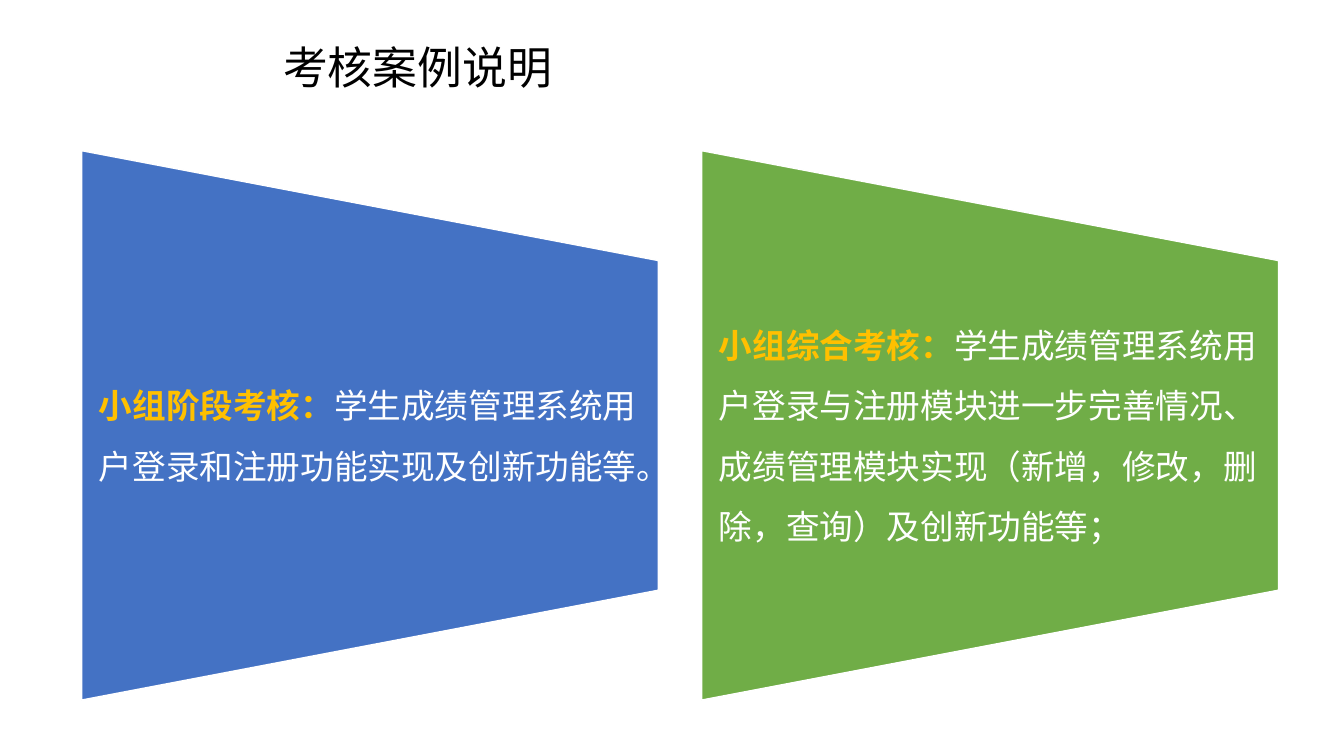
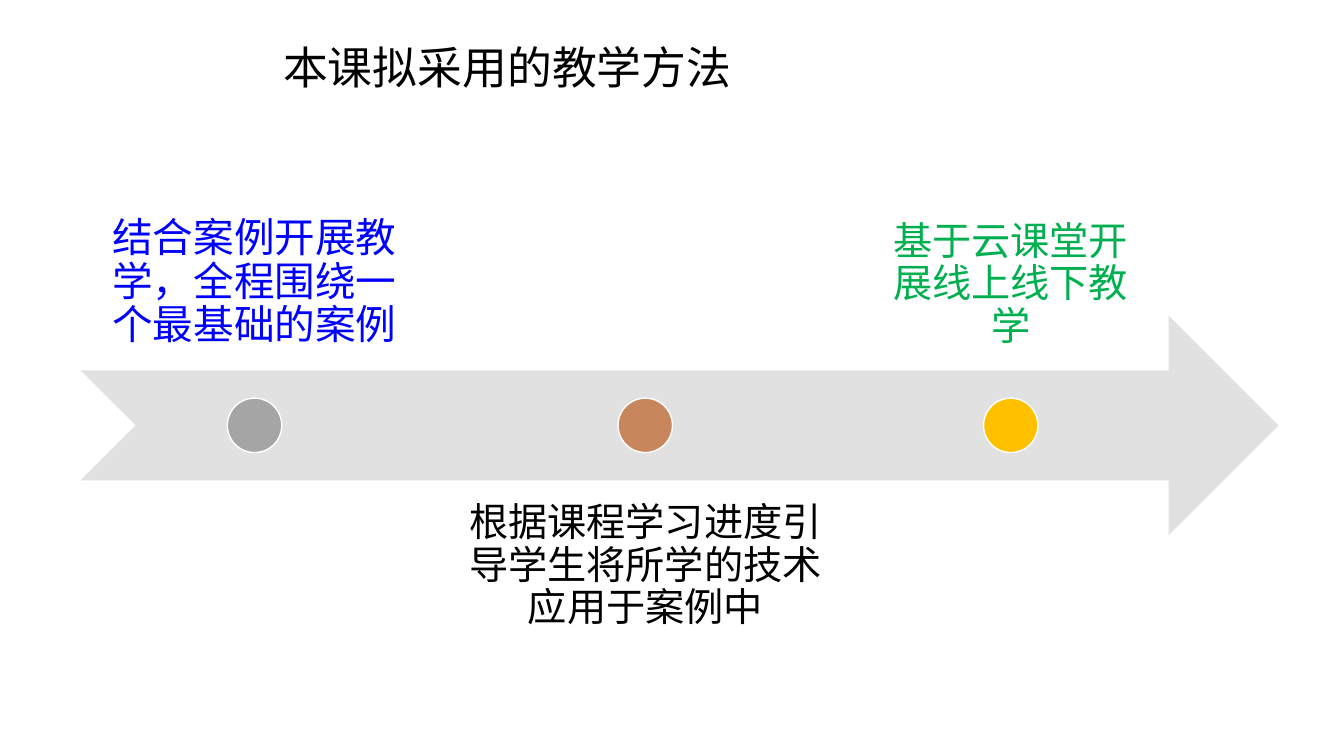
"""Builds two slides on course assessment cases and teaching methods."""
from dataclasses import dataclass

from lxml.etree import SubElement
from pptx import Presentation
from pptx.dml.color import RGBColor
from pptx.enum.shapes import MSO_SHAPE
from pptx.enum.text import MSO_ANCHOR, PP_ALIGN
from pptx.oxml.ns import qn
from pptx.util import Inches, Pt

FONT = "Noto Sans CJK SC"
COLORS = {
    "white": "FFFFFF", "black": "000000", "blue": "4472C4", "green": "70AD47",
    "gold": "FFC000", "arrow": "E1E1E1", "gray": "A5A5A5", "clay": "C8865C",
    "pure_blue": "0000FF", "leaf": "00B050",
}
PANEL_WIDTH, PANEL_HEIGHT, PANEL_MIDDLE = 5.72, 5.45, 4.22
ARROW_LEFT, ARROW_WIDTH, ARROW_MIDDLE = 0.8, 11.88, 4.22
BAND, DOT = 2.18, 0.54
LABEL_TOPS = {True: 1.5, False: 4.77}


@dataclass
class Panel:
    left: float
    fill: str
    heading: str
    body: str


@dataclass
class Step:
    left: float
    width: float
    above: bool
    size: int
    color: str
    dot: str
    text: str


PANELS = [
    Panel(0.81, "blue", "小组阶段考核：",
          "学生成绩管理系统用户登录和注册功能实现及创新功能等。"),
    Panel(6.96, "green", "小组综合考核：",
          "学生成绩管理系统用户登录与注册模块进一步完善情况、"
          "成绩管理模块实现（新增，修改，删除，查询）及创新功能等；"),
]
STEPS = [
    Step(0.81, 3.43, True, 29, "pure_blue", "gray",
         "结合案例开展教学，全程围绕一个最基础的案例"),
    Step(4.39, 4.02, False, 28, "black", "clay",
         "根据课程学习进度引导学生将所学的技术应用于案例中"),
    Step(8.56, 2.93, True, 28, "leaf", "gold",
         "基于云课堂开展线上线下教学"),
]


def rgb(name: str) -> RGBColor:
    """Return a named colour."""
    return RGBColor.from_string(COLORS[name])


def add_shape(s, kind, left: float, top: float, width: float, height: float,
              fill: str, outlined: bool = True):
    """Draw a flat filled shape, optionally with a thin white outline."""
    sp = s.shapes.add_shape(kind, Inches(left), Inches(top), Inches(width), Inches(height))
    sp.shadow.inherit = False
    sp.fill.solid()
    sp.fill.fore_color.rgb = rgb(fill)
    if outlined:
        sp.line.color.rgb = rgb("white")
        sp.line.width = Pt(1)
    else:
        sp.line.fill.background()
    return sp


def add_text(s, left: float, top: float, width: float, height: float, text: str,
             size: int, color: str, anchor=MSO_ANCHOR.MIDDLE, align=PP_ALIGN.LEFT,
             spacing: float = 0.9, inset_x: float = 0.1, inset_y: float = 0.05):
    """Add a wrapped one-paragraph text box and return its paragraph."""
    sp = s.shapes.add_textbox(Inches(left), Inches(top), Inches(width), Inches(height))
    tf = sp.text_frame
    tf.word_wrap = True
    tf.vertical_anchor = anchor
    tf.margin_left = tf.margin_right = Inches(inset_x)
    tf.margin_top = tf.margin_bottom = Inches(inset_y)
    p = tf.paragraphs[0]
    p.alignment = align
    p.line_spacing = spacing
    p.font.size = Pt(size)
    p.font.color.rgb = rgb(color)
    p.font.name = FONT
    SubElement(p.font._element if hasattr(p.font, "_element") else
               p._p.pPr.find(qn("a:defRPr")), qn("a:ea")).set("typeface", FONT)
    p.add_run().text = text
    return p


def add_slide(prs, title: str):
    """Add a blank slide with the shared title."""
    s = prs.slides.add_slide(prs.slide_layouts[6])
    add_text(s, 2.71, 0.34, 9.98, 0.71, title, 32, "black")
    return s


def add_panel(s, panel: Panel) -> None:
    """Draw a sideways trapezoid with a highlighted heading and its body."""
    sp = add_shape(s, MSO_SHAPE.FLOWCHART_MANUAL_OPERATION,
                   panel.left + (PANEL_WIDTH - PANEL_HEIGHT) / 2,
                   PANEL_MIDDLE - PANEL_WIDTH / 2, PANEL_HEIGHT, PANEL_WIDTH, panel.fill)
    sp.rotation = 270
    height = PANEL_HEIGHT * 0.6
    p = add_text(s, panel.left, PANEL_MIDDLE - height / 2, PANEL_WIDTH, height,
                 panel.heading, 24, "white", spacing=1.5, inset_x=0.17, inset_y=0)
    p.runs[0].font.bold = True
    p.runs[0].font.color.rgb = rgb("gold")
    p.add_run().text = panel.body


def add_step(s, step: Step) -> None:
    """Draw a label and its dot on the arrow."""
    anchor = MSO_ANCHOR.BOTTOM if step.above else MSO_ANCHOR.TOP
    add_text(s, step.left, LABEL_TOPS[step.above], step.width, BAND, step.text, step.size,
             step.color, anchor, PP_ALIGN.CENTER, inset_x=0.22, inset_y=0.22)
    add_shape(s, MSO_SHAPE.OVAL, step.left + (step.width - DOT) / 2,
              ARROW_MIDDLE - DOT / 2, DOT, DOT, step.dot)


def main() -> None:
    """Build and save the presentation."""
    prs = Presentation()
    prs.slide_width, prs.slide_height = Inches(13.33), Inches(7.5)

    s = add_slide(prs, "考核案例说明")
    for panel in PANELS:
        add_panel(s, panel)

    s = add_slide(prs, "本课拟采用的教学方法")
    add_shape(s, MSO_SHAPE.NOTCHED_RIGHT_ARROW, ARROW_LEFT, ARROW_MIDDLE - BAND / 2,
              ARROW_WIDTH, BAND, "arrow", outlined=False)
    for step in STEPS:
        add_step(s, step)

    prs.save("out.pptx")


if __name__ == "__main__":
    main()
